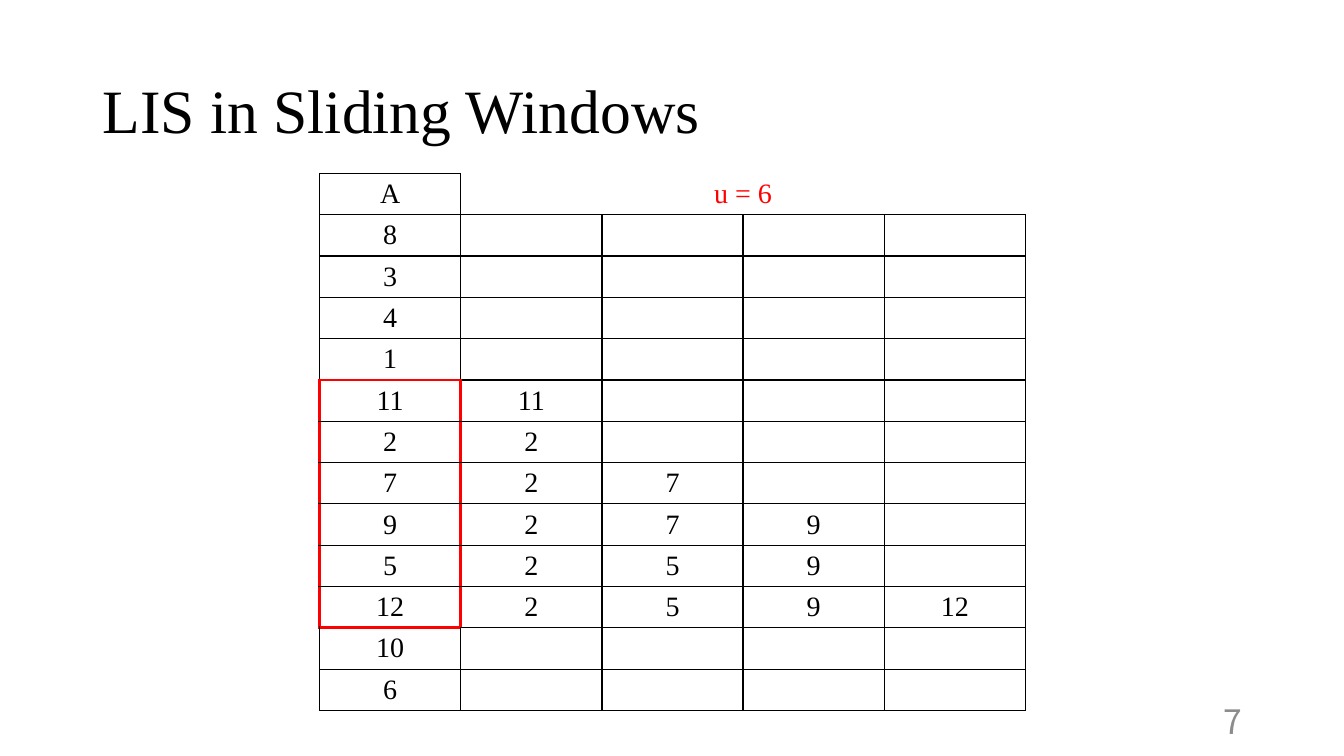
from dataclasses import dataclass

from pptx import Presentation
from pptx.dml import color
from pptx.enum import text
from pptx.oxml import ns
from pptx.util import Inches, Pt
from lxml import etree

COLORS = {"black": "000000", "red": "FF0000", "gray": "8C8C8C"}
SERIF = "Times New Roman"
ROWS = [
    ["A", "u = 6"],
    ["8"], ["3"], ["4"], ["1"],
    ["11", "11"],
    ["2", "2"],
    ["7", "2", "7"],
    ["9", "2", "7", "9"],
    ["5", "2", "5", "9"],
    ["12", "2", "5", "9", "12"],
    ["10"], ["6"],
]
COL_COUNT, COL_WIDTH, ROW_HEIGHT = 5, 1.4, 0.41
WINDOW_FIRST, WINDOW_LAST = 5, 10


@dataclass
class Label:
    words: str
    left: float
    top: float
    width: float
    height: float
    size: float
    font: str
    color: str
    align: text.PP_ALIGN
    line_spacing: float = 1.0


LABELS = [
    Label("LIS in Sliding Windows", 0.92, 0.4, 11.5, 1.45, 44, SERIF, "black",
          text.PP_ALIGN.LEFT, 0.9),
    Label("7", 9.42, 6.95, 3, 0.4, 24, "Noto Sans CJK JP", "gray",
          text.PP_ALIGN.RIGHT),
]


def style_paragraph(p, size: float, font: str, name: str, align) -> None:
    p.alignment = align
    p.font.size = Pt(size)
    p.font.name = font
    p.font.color.rgb = color.RGBColor.from_string(COLORS[name])


def add_label(slide, label: Label) -> None:
    sp = slide.shapes.add_textbox(Inches(label.left), Inches(label.top),
                                  Inches(label.width), Inches(label.height))
    tf = sp.text_frame
    tf.word_wrap = True
    tf.vertical_anchor = text.MSO_ANCHOR.MIDDLE
    p = tf.paragraphs[0]
    p.text = label.words
    p.line_spacing = label.line_spacing
    style_paragraph(p, label.size, label.font, label.color, label.align)


def set_border(cell, side: str, name: str | None) -> None:
    width = 2.25 if name == "red" else 1
    ln = etree.SubElement(cell._tc.get_or_add_tcPr(), ns.qn(f"a:ln{side}"),
                          w=str(Pt(width)))
    if name is None:
        etree.SubElement(ln, ns.qn("a:noFill"))
    else:
        fill = etree.SubElement(ln, ns.qn("a:solidFill"))
        etree.SubElement(fill, ns.qn("a:srgbClr"), val=COLORS[name])


def border_colors(row: int, col: int) -> dict[str, str | None]:
    """Colours of the left, right, top and bottom edges of a cell."""
    sides: dict[str, str | None] = dict.fromkeys("LRTB", "black")
    in_window = WINDOW_FIRST <= row <= WINDOW_LAST
    if row == 0 and col > 0:
        sides["T"] = sides["R"] = None
        if col > 1:
            sides["L"] = None
    if in_window and col <= 1:
        sides["L"] = "red"
    if col == 0:
        if in_window:
            sides["R"] = "red"
        if row in (WINDOW_FIRST, WINDOW_LAST + 1):
            sides["T"] = "red"
        if row in (WINDOW_FIRST - 1, WINDOW_LAST):
            sides["B"] = "red"
    return sides


def add_window_table(slide) -> None:
    frame = slide.shapes.add_table(
        len(ROWS), COL_COUNT, Inches(3.17), Inches(1.72),
        Inches(COL_WIDTH * COL_COUNT), Inches(ROW_HEIGHT * len(ROWS)))
    table = frame.table
    table.first_row = table.horz_banding = False
    for column in table.columns:
        column.width = Inches(COL_WIDTH)
    for row in table.rows:
        row.height = Inches(ROW_HEIGHT)
    table.cell(0, 1).merge(table.cell(0, COL_COUNT - 1))

    for i, values in enumerate(ROWS):
        for j in range(COL_COUNT):
            cell = table.cell(i, j)
            cell.margin_top = cell.margin_bottom = 0
            cell.vertical_anchor = text.MSO_ANCHOR.MIDDLE
            for side, name in border_colors(i, j).items():
                set_border(cell, side, name)
            cell.fill.background()
            p = cell.text_frame.paragraphs[0]
            if j < len(values):
                p.text = values[j]
            style_paragraph(p, 20, SERIF, "red" if (i, j) == (0, 1) else "black",
                            text.PP_ALIGN.CENTER)


def main() -> None:
    prs = Presentation()
    prs.slide_width, prs.slide_height = Inches(13.33), Inches(7.5)
    slide = prs.slides.add_slide(prs.slide_layouts[6])

    # Title and slide number
    for label in LABELS:
        add_label(slide, label)

    # Sequence with the sliding window
    add_window_table(slide)
    prs.save("out.pptx")


if __name__ == "__main__":
    main()
